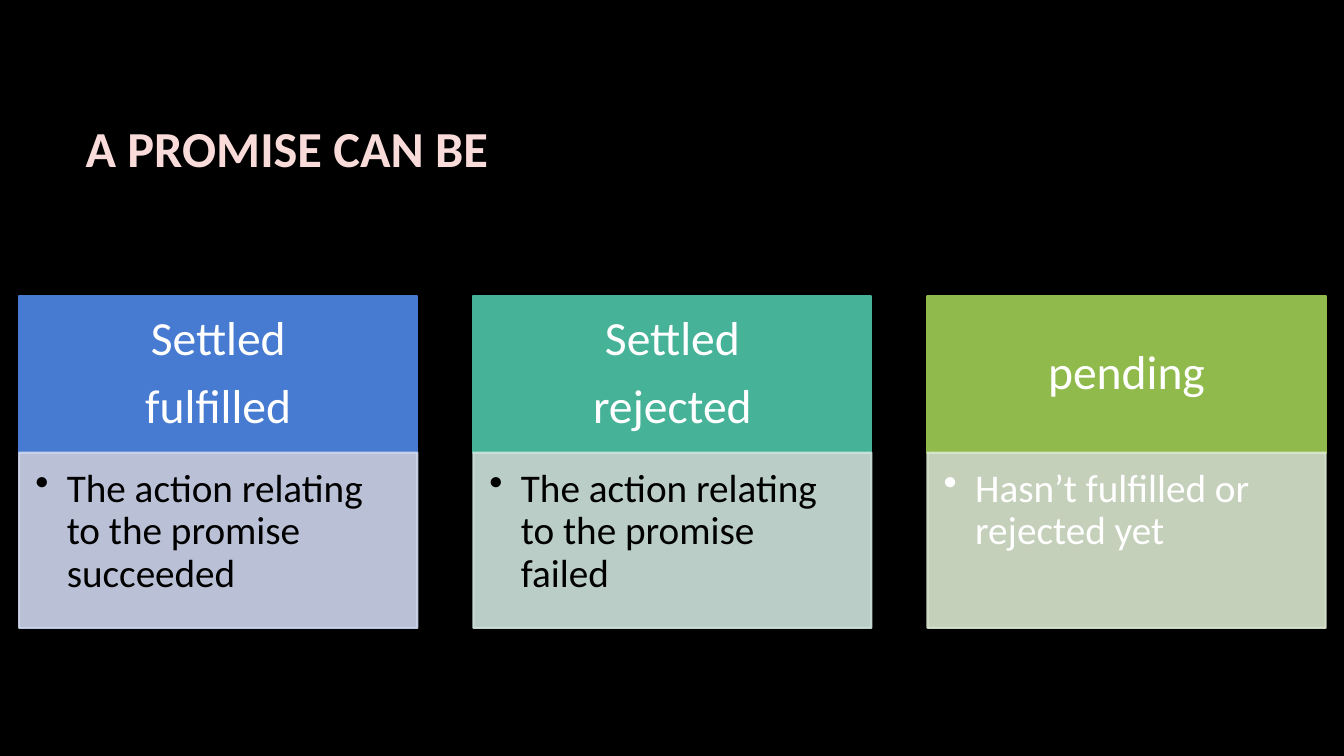
"""Build a slide showing the three states a promise can be in."""
from lxml import etree
from pptx import Presentation
from pptx.dml.color import RGBColor
from pptx.enum.shapes import MSO_SHAPE
from pptx.enum.text import MSO_ANCHOR, PP_ALIGN
from pptx.oxml.ns import qn
from pptx.util import Pt

RECTANGLE = MSO_SHAPE.RECTANGLE
MIDDLE, TOP = MSO_ANCHOR.MIDDLE, MSO_ANCHOR.TOP
CENTER, LEFT = PP_ALIGN.CENTER, PP_ALIGN.LEFT

COLORS = {
    "black": "000000", "white": "FFFFFF", "title": "F9DCDA",
    "blue": "477BD1", "pale blue": "CFD7EE",
    "teal": "46B298", "pale teal": "CFE4DD",
    "green": "90BA4C", "pale green": "DBE7D0",
}
STATES = [
    (["Settled", "fulfilled"], "The action relating to the promise succeeded", "blue", "black"),
    (["Settled", "rejected"], "The action relating to the promise failed", "teal", "black"),
    (["pending"], "Hasn’t fulfilled or rejected yet", "green", "white"),
]
FIRST_LEFT, COLUMN_PITCH, COLUMN_WIDTH = 13.7, 324.4, 284.4
HEADER_TOP, HEADER_HEIGHT, BODY_HEIGHT = 211.7, 111.6, 125.3


def write(box, lines, size, color, anchor, align, insets, bold=False, spacing=1, after=0):
    frame = box.text_frame
    frame.word_wrap = True
    frame.vertical_anchor = anchor
    frame.margin_left, frame.margin_top, frame.margin_right, frame.margin_bottom = map(Pt, insets)
    frame.text = "\n".join(lines)
    for para in frame.paragraphs:
        para.alignment = align
        para.line_spacing = spacing
        para.space_after = Pt(after)
        para.font.name = "Calibri"
        para.font.size = Pt(size)
        para.font.bold = bold
        para.font.color.rgb = RGBColor.from_string(COLORS[color])


def add_panel(left, top, height, color):
    panel = page.shapes.add_shape(RECTANGLE, Pt(left), Pt(top), Pt(COLUMN_WIDTH), Pt(height))
    panel.shadow.inherit = False
    panel.fill.solid()
    panel.fill.fore_color.rgb = RGBColor.from_string(COLORS[color])
    panel.line.color.rgb = RGBColor.from_string(COLORS[color])
    panel.line.width = Pt(1.5)
    return panel


deck = Presentation()
deck.slide_width, deck.slide_height = Pt(960), Pt(540)
page = deck.slides.add_slide(deck.slide_layouts[6])
page.background.fill.solid()
page.background.fill.fore_color.rgb = RGBColor.from_string(COLORS["black"])

title = page.shapes.add_textbox(Pt(54), Pt(48.2), Pt(905.8), Pt(114.5))
write(title, ["A PROMISE CAN BE"], 36, "title", MIDDLE, LEFT, (7.2, 3.6, 7.2, 3.6), bold=True)

for column, (heading, description, color, text_color) in enumerate(STATES):
    left = FIRST_LEFT + column * COLUMN_PITCH
    header = add_panel(left, HEADER_TOP, HEADER_HEIGHT, color)
    write(header, heading, 34, "white", MIDDLE, CENTER, (18.7, 10.8, 18.7, 10.8),
          spacing=0.9, after=12)

    body = add_panel(left, HEADER_TOP + HEADER_HEIGHT, BODY_HEIGHT, "pale " + color)
    for tint in body._element.spPr.iter(qn("a:srgbClr")):
        etree.SubElement(tint, qn("a:alpha"), val="90000")
    write(body, [description], 28, text_color, TOP, LEFT, (11.5, 11.5, 15.8, 17.3),
          spacing=0.9, after=4)
    properties = body.text_frame.paragraphs[0]._p.get_or_add_pPr()
    properties.set("marL", str(Pt(22.5)))
    properties.set("indent", str(Pt(-22.5)))
    bullet = etree.Element(qn("a:buChar"), char="•")
    properties.find(qn("a:spcAft")).addnext(bullet)

deck.save("out.pptx")
